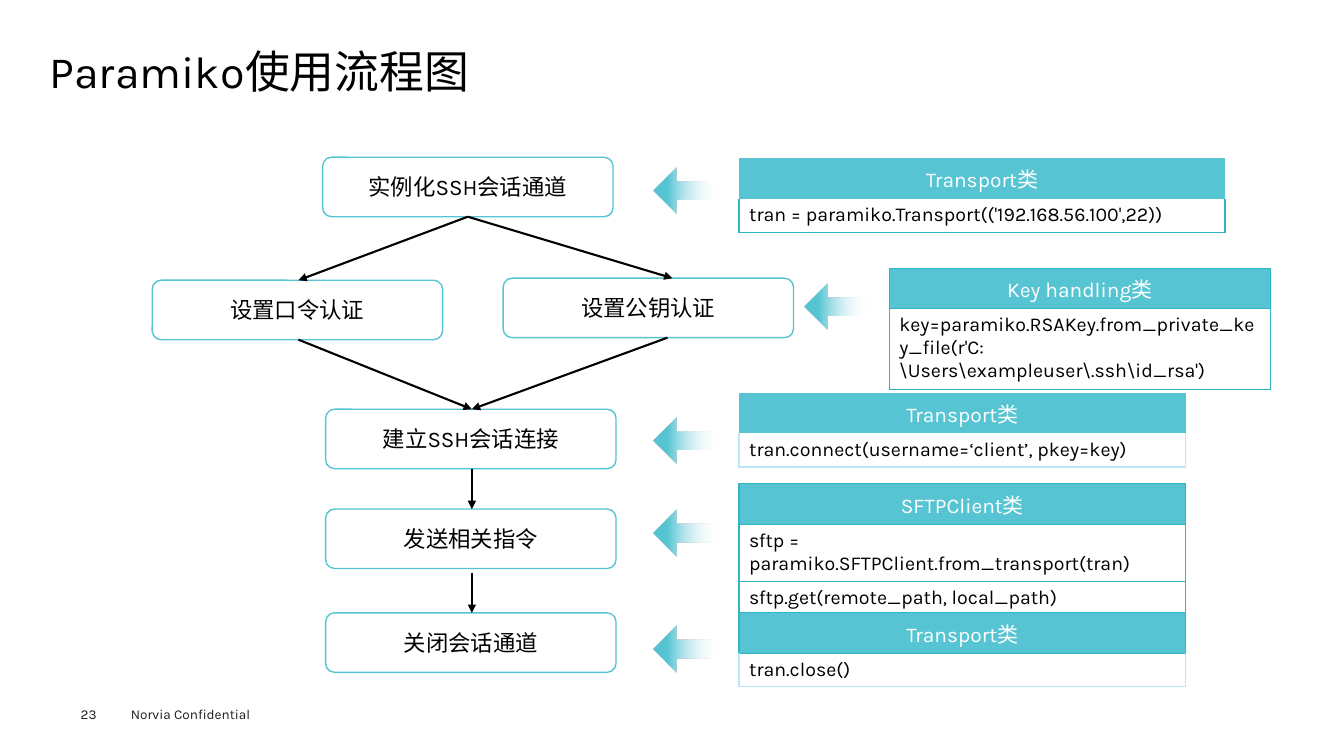
"""Build the Paramiko workflow slide with its flow chart and code tables."""
from lxml import etree
from pptx import Presentation
from pptx.dml.color import RGBColor
from pptx.enum.shapes import MSO_CONNECTOR, MSO_SHAPE
from pptx.enum.text import MSO_ANCHOR, PP_ALIGN
from pptx.oxml.ns import qn
from pptx.util import Inches, Pt

STRAIGHT = MSO_CONNECTOR.STRAIGHT
ROUNDED, ARROW = MSO_SHAPE.ROUNDED_RECTANGLE, MSO_SHAPE.RIGHT_ARROW
LEFT, CENTER = PP_ALIGN.LEFT, PP_ALIGN.CENTER
TOP, MIDDLE = MSO_ANCHOR.TOP, MSO_ANCHOR.MIDDLE

THEME = {
    "font": "Karla", "accent": "56C4D2", "border": "30B5C5", "pale": "BAE6F6",
    "fade": "F7FAFD", "black": "000000", "white": "FFFFFF", "footer": "1D1D1B",
    "title_size": 32, "node_size": 16, "header_size": 15, "code_size": 14,
    "footer_size": 9.7,
}
NO_TABLE_STYLE = "{2D5ABB26-0587-4C30-8999-92F81FD0307C}"

TEXTS = [
    ("Paramiko使用流程图", (0.49, 0.49, 12.35, 0.54), 0, "title_size", "black", 0.9),
    ("23", (0.8, 7.0, 0.55, 0.16), 0, "footer_size", "footer", 1.0),
    ("Norvia Confidential", (1.2, 6.95, 1.6, 0.27), 1, "footer_size", "footer", 1.0),
]
NODE_SIZE = (2.88, 0.59)
NODES = [
    ("实例化SSH会话通道", 3.2, 1.56),
    ("设置口令认证", 1.51, 2.78),
    ("设置公钥认证", 4.99, 2.76),
    ("建立SSH会话连接", 3.23, 4.06),
    ("发送相关指令", 3.23, 5.05),
    ("关闭会话通道", 3.23, 6.08),
]
FLOWS = [
    ((4.64, 2.15), (2.96, 2.78)), ((4.64, 2.15), (6.67, 2.76)),
    ((2.96, 3.37), (4.68, 4.06)), ((6.62, 3.35), (4.68, 4.06)),
    ((4.68, 4.65), (4.68, 5.05)), ((4.68, 5.68), (4.68, 6.08)),
]
POINTER_SIZE = (0.73, 0.46)
POINTERS = [(6.48, 1.66), (7.98, 2.81), (6.48, 4.14), (6.48, 5.06), (6.48, 6.21)]
HEADER_HEIGHT, LINE_HEIGHT, CELL_PADDING = 0.4, 0.23, 0.1
FRAMED = {side: "border" for side in "LRTB"}
OPEN = {side: "border" for side in "LRB"}
PALE = {side: "pale" for side in "LRB"}
TABLES = [
    ((7.33, 1.57, 4.82), "Transport类", {}, OPEN,
     [("tran = paramiko.Transport(('192.168.56.100',22))", 1)]),
    ((8.82, 2.66, 3.78), "Key handling类", FRAMED, FRAMED,
     [(r"key=paramiko.RSAKey.from_private_key_file(r'C:\Users\exampleuser\.ssh\id_rsa')", 3)]),
    ((7.33, 3.9, 4.43), "Transport类", {}, PALE,
     [("tran.connect(username=‘client’, pkey=key)", 1)]),
    ((7.33, 4.8, 4.43), "SFTPClient类", FRAMED, FRAMED,
     [("sftp = paramiko.SFTPClient.from_transport(tran)", 2),
      ("sftp.get(remote_path, local_path)", 1)]),
    ((7.33, 6.08, 4.43), "Transport类", FRAMED, {**PALE, "T": "border"},
     [("tran.close()", 1)]),
]


def color(name):
    return RGBColor.from_string(THEME[name])


def inches(values):
    return [Inches(value) for value in values]


def write(frame, text, size, ink, align=LEFT):
    paragraph = frame.paragraphs[0]
    paragraph.alignment = align
    run = paragraph.add_run()
    run.text = text
    formats = {"name": THEME["font"], "size": Pt(THEME[size])}
    for attribute, value in formats.items():
        setattr(run.font, attribute, value)
    run.font.color.rgb = color(ink)
    return paragraph


def add_text(slide, text, box, inset, size, ink, spacing):
    frame = slide.shapes.add_textbox(*inches(box)).text_frame
    formats = {
        "word_wrap": True, "vertical_anchor": TOP,
        "margin_left": Inches(0.1 * inset), "margin_right": Inches(0.1 * inset),
        "margin_top": Inches(0.05 * inset), "margin_bottom": Inches(0.05 * inset),
    }
    for attribute, value in formats.items():
        setattr(frame, attribute, value)
    write(frame, text, size, ink).line_spacing = spacing


def add_node(slide, text, left, top):
    shape = slide.shapes.add_shape(ROUNDED, *inches((left, top, *NODE_SIZE)))
    shape.shadow.inherit = False
    shape.adjustments[0] = 0.15
    shape.fill.background()
    shape.line.color.rgb = color("accent")
    shape.line.width = Pt(1)
    shape.text_frame.word_wrap = True
    shape.text_frame.vertical_anchor = MIDDLE
    write(shape.text_frame, text, "node_size", "black", CENTER)


def add_flow(slide, start, end):
    connector = slide.shapes.add_connector(STRAIGHT, *inches((*start, *end)))
    connector.line.color.rgb = color("black")
    connector.line.width = Pt(1.5)
    properties = connector.element.spPr
    etree.SubElement(properties.find(qn("a:ln")), qn("a:tailEnd"), type="triangle")
    etree.SubElement(properties, qn("a:effectLst"))


def add_pointer(slide, left, top):
    shape = slide.shapes.add_shape(ARROW, *inches((left, top, *POINTER_SIZE)))
    shape.shadow.inherit = False
    shape.rotation = 180
    shape.adjustments[0], shape.adjustments[1] = 0.4, 0.5
    shape.line.fill.background()
    shape.fill.gradient()
    shape.fill.gradient_angle = 0
    stops = shape.fill.gradient_stops
    for stop, position, name in zip(stops, (0.15, 0.81), ("fade", "accent")):
        stop.position = position
        stop.color.rgb = color(name)
    clear = next(shape.element.spPr.iter(qn("a:srgbClr")))
    etree.SubElement(clear, qn("a:alpha"), val="0")


def add_borders(cell, borders):
    properties = cell._tc.get_or_add_tcPr()
    for side in "LRTB":
        if side in borders:
            line = etree.SubElement(properties, qn(f"a:ln{side}"), w=str(Pt(1)))
            fill = etree.SubElement(line, qn("a:solidFill"))
            etree.SubElement(fill, qn("a:srgbClr"), val=THEME[borders[side]])


def add_code_table(slide, place, header, header_borders, code_borders, codes):
    left, top, width = place
    heights = [HEADER_HEIGHT] + [CELL_PADDING + LINE_HEIGHT * lines for _, lines in codes]
    frame = slide.shapes.add_table(
        len(heights), 1, *inches((left, top, width, sum(heights))))
    next(frame.element.iter(qn("a:tableStyleId"))).text = NO_TABLE_STYLE
    table = frame.table
    for row, height in zip(table.rows, heights):
        row.height = Inches(height)
    title = table.cell(0, 0)
    add_borders(title, header_borders)
    title.fill.solid()
    title.fill.fore_color.rgb = color("accent")
    write(title.text_frame, header, "header_size", "white", CENTER)
    for index, (code, _) in enumerate(codes, 1):
        cell = table.cell(index, 0)
        add_borders(cell, code_borders)
        cell.fill.background()
        write(cell.text_frame, code, "code_size", "black")


def main():
    presentation = Presentation()
    presentation.slide_width, presentation.slide_height = Inches(13.33), Inches(7.5)
    slide = presentation.slides.add_slide(presentation.slide_layouts[6])
    content = [
        (add_text, TEXTS), (add_node, NODES), (add_flow, FLOWS),
        (add_code_table, TABLES), (add_pointer, POINTERS),
    ]
    for add, items in content:
        for item in items:
            add(slide, *item)
    presentation.save("out.pptx")


if __name__ == "__main__":
    main()
